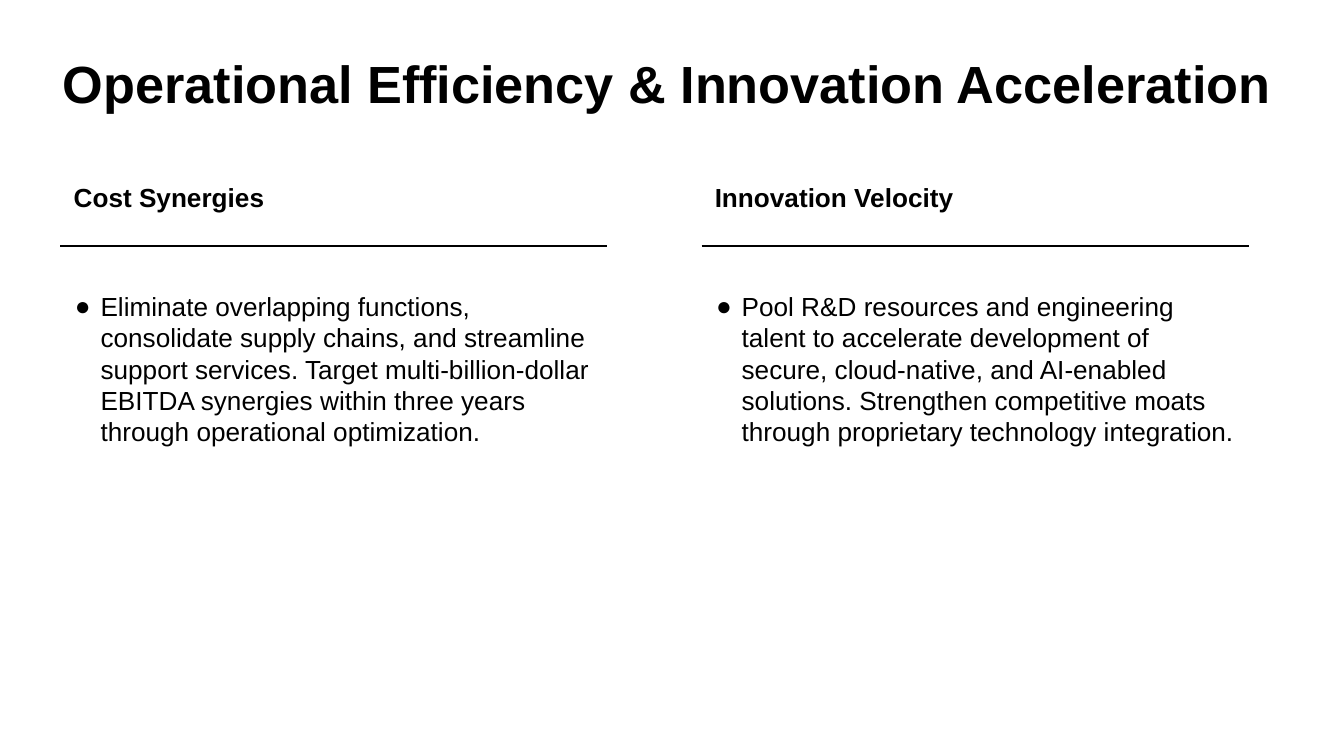
import dataclasses

import lxml.etree
import pptx
import pptx.dml.color
import pptx.enum.shapes
import pptx.enum.text
import pptx.oxml.ns
import pptx.util


@dataclasses.dataclass(frozen=True)
class Theme:
    """Colours, type sizes and grid measures of the slide."""
    ink: str = "000000"
    font: str = "Arial"
    title_size: int = 28
    text_size: int = 14
    rule_width: float = 1.5
    slide_width: float = 10
    slide_height: float = 10 * 9 / 16
    margin: float = 0.45
    column_width: float = 4.07
    column_step: float = 4.77
    heading_row: float = 1.25
    rule_row: float = 1.83
    body_row: float = 2.06


THEME = Theme()
COLUMNS = [
    (
        "Cost Synergies",
        "Eliminate overlapping functions, consolidate supply chains, and streamline "
        "support services. Target multi-billion-dollar EBITDA synergies within three "
        "years through operational optimization.",
    ),
    (
        "Innovation Velocity",
        "Pool R&D resources and engineering talent to accelerate development of "
        "secure, cloud-native, and AI-enabled solutions. Strengthen competitive moats "
        "through proprietary technology integration.",
    ),
]


def ink_color():
    """Return the theme's ink colour."""
    return pptx.dml.color.RGBColor.from_string(THEME.ink)


def apply_format(target, values):
    """Set each named attribute of the target."""
    for name, value in values.items():
        setattr(target, name, value)


def add_text(slide, text, left, top, width, height, size, bold=False):
    """Add a wrapped text box and return its paragraph."""
    box = slide.shapes.add_textbox(*map(pptx.util.Inches, (left, top, width, height)))
    inset = pptx.util.Inches(0.1)
    apply_format(box.text_frame, {
        "word_wrap": True,
        "auto_size": pptx.enum.text.MSO_AUTO_SIZE.SHAPE_TO_FIT_TEXT,
        "margin_left": inset,
        "margin_top": inset,
        "margin_right": inset,
        "margin_bottom": inset,
    })
    paragraph = box.text_frame.paragraphs[0]
    run = paragraph.add_run()
    run.text = text
    apply_format(run.font, {"name": THEME.font, "size": pptx.util.Pt(size), "bold": bold})
    run.font.color.rgb = ink_color()
    return paragraph


def add_bullet(paragraph):
    """Give the paragraph a hanging round bullet."""
    paragraph.space_after = pptx.util.Pt(12)
    properties = paragraph._p.get_or_add_pPr()
    properties.set("marL", str(pptx.util.Inches(0.2)))
    properties.set("indent", str(pptx.util.Inches(-0.19)))
    qualify = pptx.oxml.ns.qn
    color = lxml.etree.SubElement(properties, qualify("a:buClr"))
    lxml.etree.SubElement(color, qualify("a:srgbClr"), val=THEME.ink)
    lxml.etree.SubElement(properties, qualify("a:buFont"), typeface=THEME.font)
    lxml.etree.SubElement(properties, qualify("a:buChar"), char="●")


def add_rule(slide, left, top, width):
    """Add a horizontal rule without a shadow."""
    ends = map(pptx.util.Inches, (left, top, left + width, top))
    rule = slide.shapes.add_connector(pptx.enum.shapes.MSO_CONNECTOR.STRAIGHT, *ends)
    rule.line.width = pptx.util.Pt(THEME.rule_width)
    rule.line.color.rgb = ink_color()
    lxml.etree.SubElement(rule._element.spPr, pptx.oxml.ns.qn("a:effectLst"))


def add_column(slide, index, heading, body):
    """Add a heading, a rule and a bulleted text in one column."""
    left = THEME.margin + index * THEME.column_step
    width = THEME.column_width
    add_text(slide, heading, left, THEME.heading_row, width, 0.66, THEME.text_size, True)
    add_rule(slide, left, THEME.rule_row, width)
    add_bullet(add_text(slide, body, left, THEME.body_row, width, 1.55, THEME.text_size))


def main():
    """Build and save the slide."""
    presentation = pptx.Presentation()
    apply_format(presentation, {
        "slide_width": pptx.util.Inches(THEME.slide_width),
        "slide_height": pptx.util.Inches(THEME.slide_height),
    })
    slide = presentation.slides.add_slide(presentation.slide_layouts[6])
    add_text(slide, "Operational Efficiency & Innovation Acceleration",
             0.37, 0.28, 9.27, 1.06, THEME.title_size, True)
    for index, (heading, body) in enumerate(COLUMNS):
        add_column(slide, index, heading, body)
    presentation.save("out.pptx")


if __name__ == "__main__":
    main()
